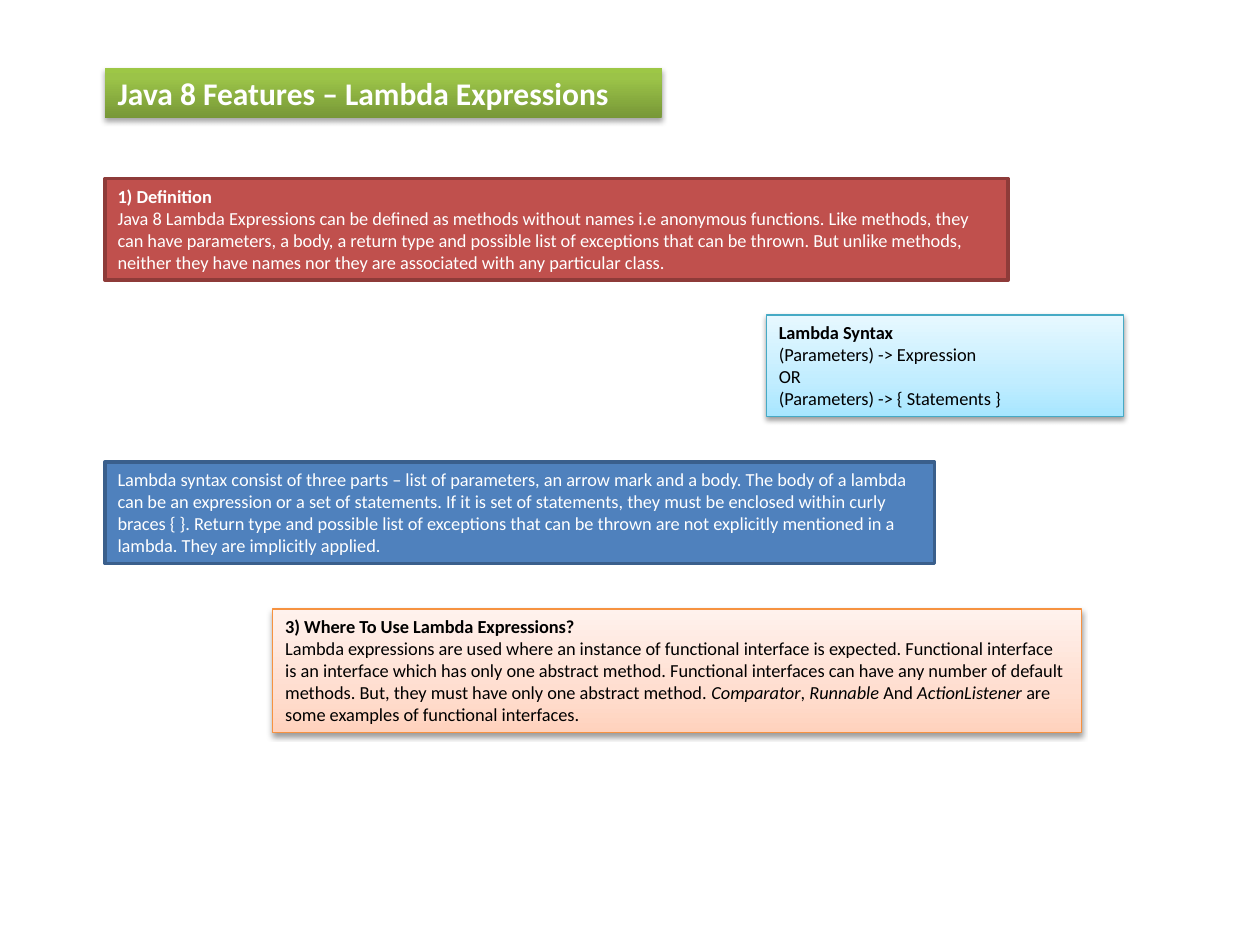
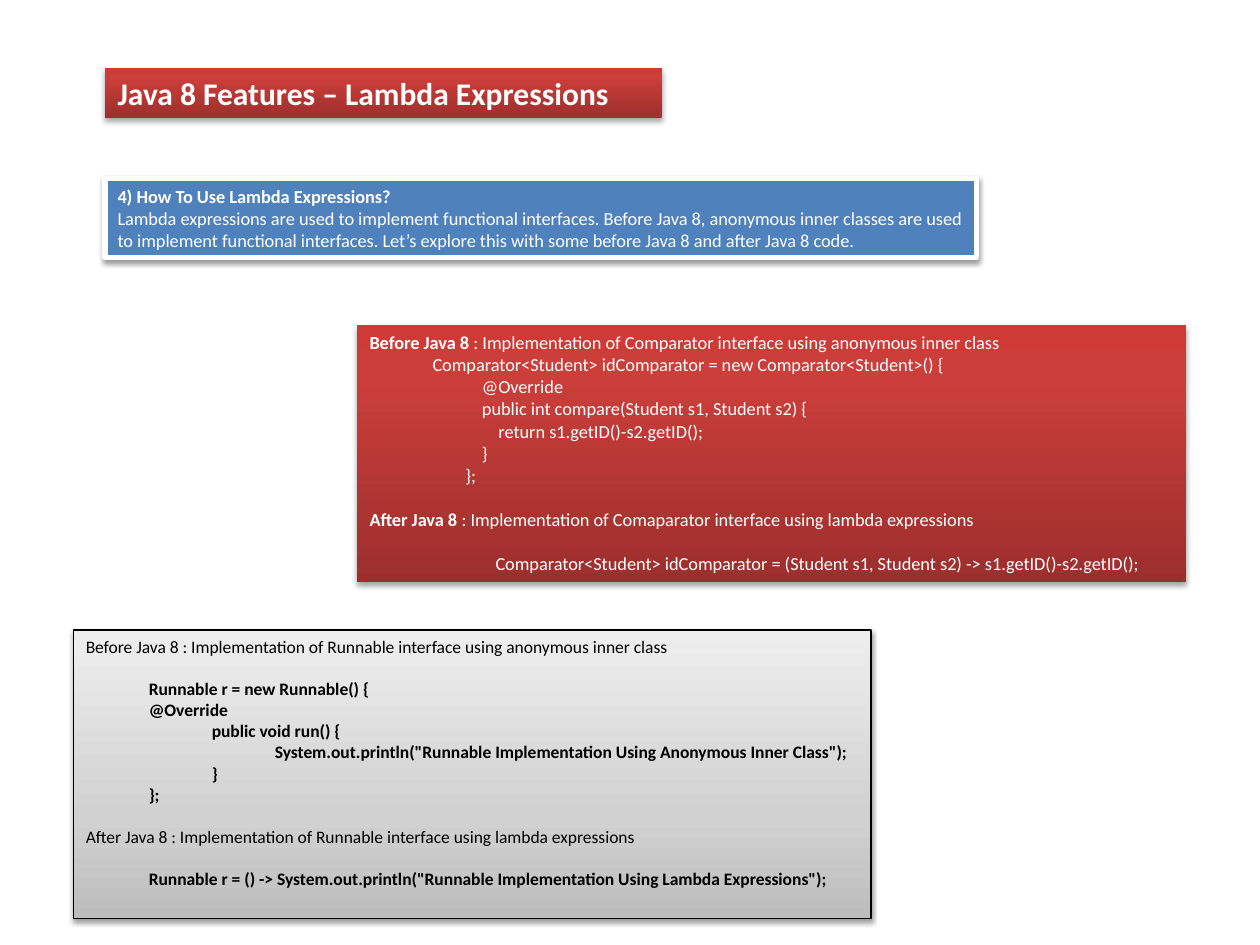
from lxml import etree
from pptx import Presentation
from pptx.dml.color import RGBColor
from pptx.enum.shapes import MSO_SHAPE
from pptx.enum.text import MSO_ANCHOR, PP_ALIGN
from pptx.oxml.ns import qn
from pptx.util import Cm, Pt

RECT = MSO_SHAPE.RECTANGLE
TOP = MSO_ANCHOR.TOP
LEFT = PP_ALIGN.LEFT
FONT = "Calibri"
BLANK = 6
STEP = 1.27  # indent of one level, cm

WHITE, BLACK, BLUE = "FFFFFF", "000000", "4F81BD"
GREENS = [(0, "779737"), (80, "9BC348"), (100, "9DC746")]
REDS = [(0, "9C2F2D"), (80, "CB3E3A"), (100, "CE3B37")]
AQUAS = [(0, "A7E6FF"), (35, "C1EDFF"), (100, "E7F8FF")]
PEACH = [(0, "FFD2BD"), (35, "FFDED0"), (100, "FFF2ED")]
GREYS = [(0, "BDBDBD"), (35, "D1D1D1"), (100, "EEEEEE")]
DEEP = (35, 1.8)  # shadow opacity in percent, distance in points
SOFT = (38, 1.6)

TITLE_BOX = (2.12, 1.37, 11.22, 1.02)
TITLE = "Java 8 Features – Lambda Expressions"


def color(code):
    return RGBColor.from_string(code)


def add_tint(parent, tag, code, **attrs):
    node = etree.SubElement(parent, qn(tag), attrs)
    return etree.SubElement(node, qn("a:srgbClr"), val=code)


def paint(shape, fill):
    """Fill with one colour, or with stops running from bottom to top."""
    if isinstance(fill, str):
        shape.fill.solid()
        shape.fill.fore_color.rgb = color(fill)
        return
    shape.fill.gradient()
    shape.fill.gradient_angle = 90
    stops = shape._element.spPr.find(".//" + qn("a:gsLst"))
    for old in list(stops):
        stops.remove(old)
    for pos, code in fill:
        add_tint(stops, "a:gs", code, pos=str(pos * 1000))


def outline(shape, line):
    if line is None:
        shape.line.fill.background()
        return
    code, width = line
    shape.line.color.rgb = color(code)
    shape.line.width = Pt(width)


def shade(shape, shadow):
    shape.shadow.inherit = False
    if shadow:
        alpha, dist = shadow
        effects = shape._element.spPr.find(qn("a:effectLst"))
        tint = add_tint(effects, "a:outerShdw", BLACK, blurRad=str(Pt(3.1)),
                        dist=str(Pt(dist)), dir="5400000", rotWithShape="0")
        etree.SubElement(tint, qn("a:alpha"), val=str(alpha * 1000))


def para(*runs, level=0, gap=0):
    """Describe a paragraph; a run is text or (text, "b" or "i")."""
    pairs = [(run, "") if isinstance(run, str) else run for run in runs]
    return pairs, level, gap


def write(frame, paras, size, ink):
    for n, (runs, level, gap) in enumerate(paras):
        p = frame.paragraphs[0] if n == 0 else frame.add_paragraph()
        p.alignment = LEFT
        p.level = level
        if level:
            p._p.get_or_add_pPr().set("marL", str(Cm(STEP * level)))
        if gap:
            p.space_before = Pt(gap)
        for text, style in runs:
            run = p.add_run()
            run.text = text
            look = {"name": FONT, "size": Pt(size),
                    "bold": style == "b", "italic": style == "i"}
            for key, value in look.items():
                setattr(run.font, key, value)
            run.font.color.rgb = color(ink)


def card(slide, box, paras, fill, line=None, shadow=None, ink=WHITE, size=10.5):
    shape = slide.shapes.add_shape(RECT, *map(Cm, box))
    paint(shape, fill)
    outline(shape, line)
    shade(shape, shadow)
    frame = shape.text_frame
    frame.word_wrap = True
    frame.vertical_anchor = TOP
    write(frame, paras, size, ink)


def add_page(deck, stops):
    slide = deck.slides.add_slide(deck.slide_layouts[BLANK])
    card(slide, TITLE_BOX, [para((TITLE, "b"))], stops, shadow=DEEP, size=18)
    return slide


def concept(deck):
    slide = add_page(deck, GREENS)
    card(slide, (2.12, 3.6, 18.2, 2.05), [
        para(("1) Definition", "b")),
        para("Java 8 Lambda Expressions can be defined as methods without names "
             "i.e anonymous functions. Like methods, they can have parameters, a "
             "body, a return type and possible list of exceptions that can be "
             "thrown. But unlike methods, neither they have names nor they are "
             "associated with any particular class."),
    ], "C0504D", line=("8E3B39", 2))
    card(slide, (15.45, 6.35, 7.2, 2.05), [
        para(("Lambda Syntax", "b")),
        para("(Parameters) -> Expression"),
        para("OR"),
        para("(Parameters) -> { Statements }"),
    ], AQUAS, line=("46AAC5", 0.75), shadow=SOFT, ink=BLACK)
    card(slide, (2.12, 9.31, 16.72, 2.05), [
        para("Lambda syntax consist of three parts – list of parameters, an arrow "
             "mark and a body. The body of a lambda can be an expression or a set "
             "of statements. If it is set of statements, they must be enclosed "
             "within curly braces { }. Return type and possible list of exceptions "
             "that can be thrown are not explicitly mentioned in a lambda. They "
             "are implicitly applied."),
    ], BLUE, line=("3A5F8C", 2))
    card(slide, (5.5, 12.28, 16.3, 2.49), [
        para(("3) Where To Use Lambda Expressions?", "b")),
        para("Lambda expressions are used where an instance of functional "
             "interface is expected. Functional interface is an interface which "
             "has only one abstract method. Functional interfaces can have any "
             "number of default methods. But, they must have only one abstract "
             "method. ", ("Comparator", "i"), ", ", ("Runnable ", "i"), "And ",
             ("ActionListener ", "i"),
             "are some examples of functional interfaces."),
    ], PEACH, line=("F69240", 0.75), shadow=SOFT, ink=BLACK)


def usage(deck):
    slide = add_page(deck, REDS)
    card(slide, (2.12, 3.6, 17.57, 1.6), [
        para(("4) How To Use Lambda Expressions?", "b")),
        para("Lambda expressions are used to implement functional interfaces. "
             "Before Java 8, anonymous inner classes are used to implement "
             "functional interfaces. Let’s explore this with some before Java 8 "
             "and after Java 8 code."),
    ], BLUE, line=(WHITE, 3), shadow=SOFT)

    compare = [
        "Comparator<Student> idComparator = new Comparator<Student>() {",
        "            @Override",
        "            public int compare(Student s1, Student s2) {",
        "                return s1.getID()-s2.getID();",
        "            }",
        "        };",
    ]
    card(slide, (7.2, 6.56, 16.72, 5.18), [
        para(("Before Java 8 ", "b"), ": Implementation of Comparator interface "
             "using anonymous inner class"),
        *(para(code, level=1) for code in compare),
        para(("After Java 8 ", "b"), ": Implementation of Comaparator interface "
             "using lambda expressions", gap=12.6),
        para("Comparator<Student> idComparator = (Student s1, Student s2) -> "
             "s1.getID()-s2.getID();", level=2, gap=12.6),
    ], REDS, shadow=DEEP)

    runner = [
        (1, "Runnable r = new Runnable() {"),
        (1, "@Override"),
        (2, "public void run() {"),
        (3, 'System.out.println("Runnable Implementation Using Anonymous Inner Class");'),
        (2, "}"),
        (1, "};"),
    ]
    card(slide, (1.48, 12.7, 16.08, 5.82), [
        para("Before Java 8 : Implementation of Runnable interface using "
             "anonymous inner class"),
        *(para((code, "b"), level=level, gap=0 if n else 12.1)
          for n, (level, code) in enumerate(runner)),
        para("After Java 8 : Implementation of Runnable interface using lambda "
             "expressions", gap=12.1),
        para(('Runnable r = () -> System.out.println("Runnable Implementation '
              'Using Lambda Expressions");', "b"), level=1, gap=12.1),
    ], GREYS, line=(BLACK, 0.75), shadow=SOFT, ink=BLACK, size=10)


def main():
    deck = Presentation()
    deck.slide_width, deck.slide_height = Cm(25.4), Cm(19.05)
    concept(deck)
    usage(deck)
    deck.save("out.pptx")


if __name__ == "__main__":
    main()
